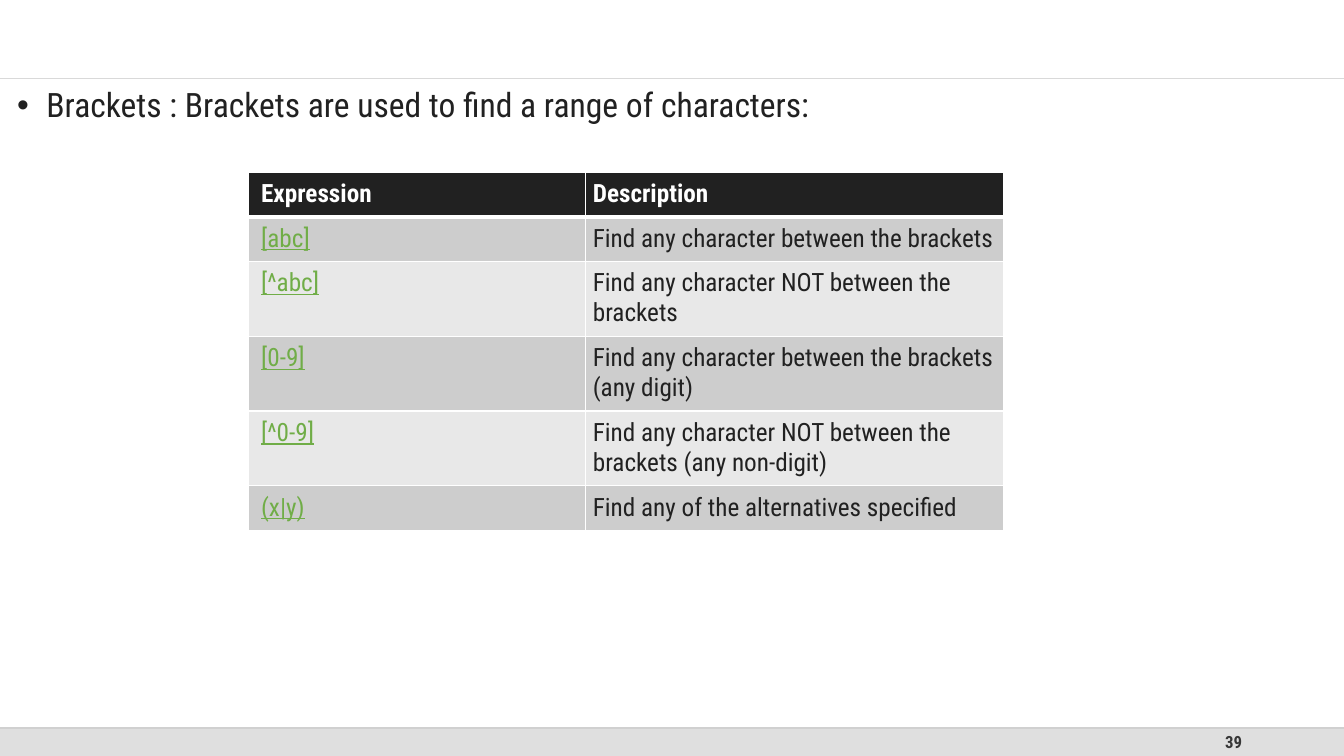
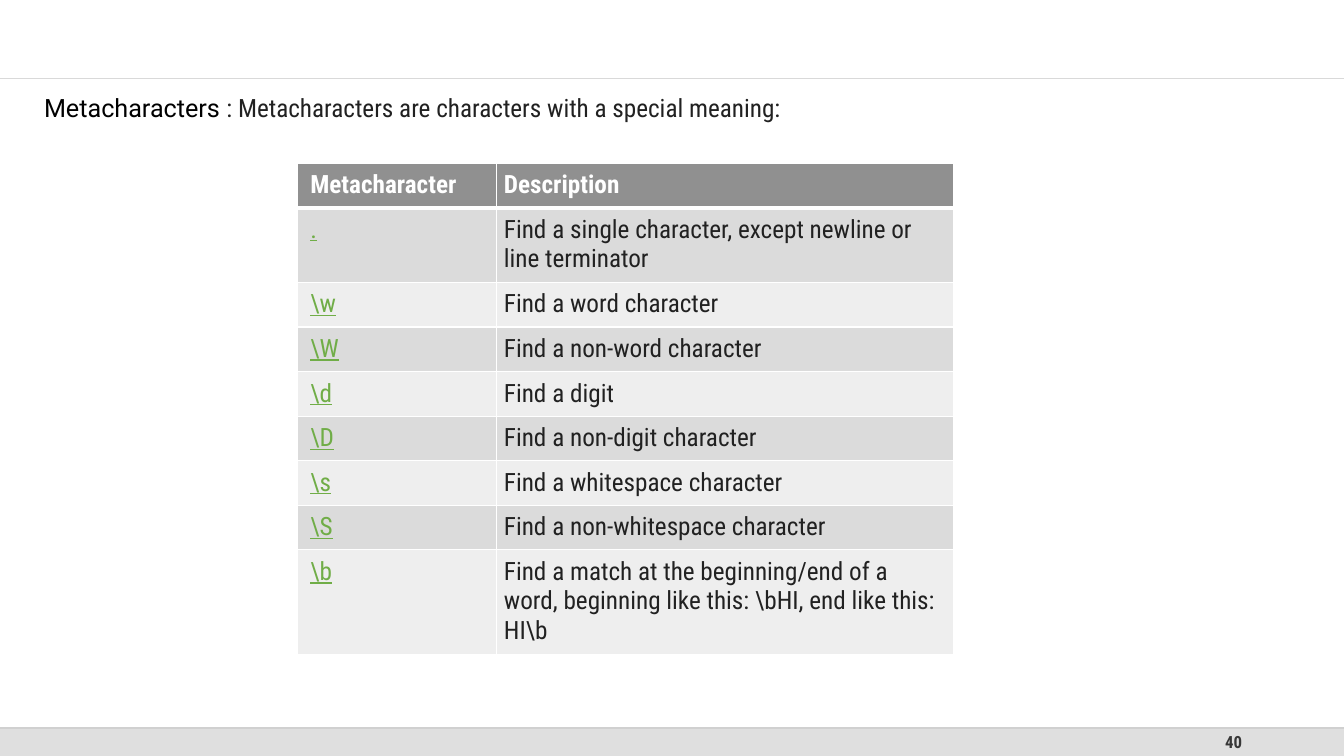
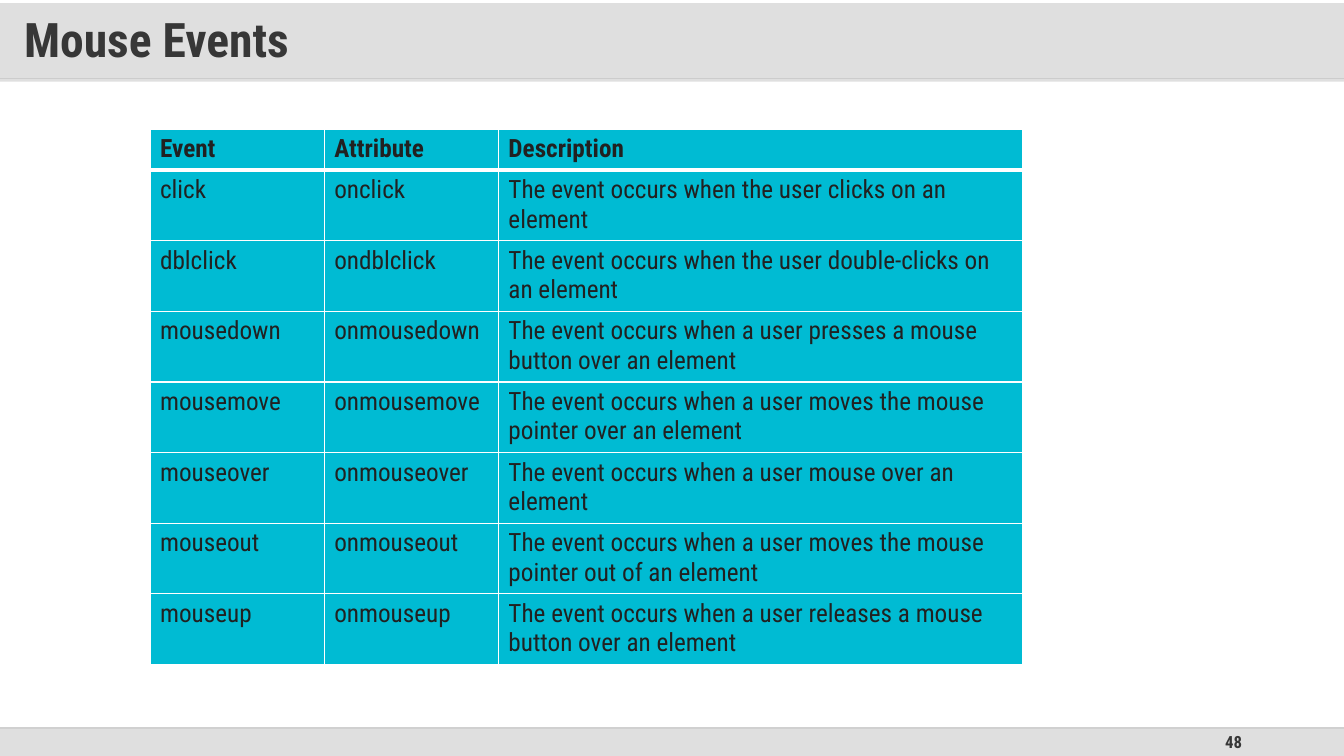
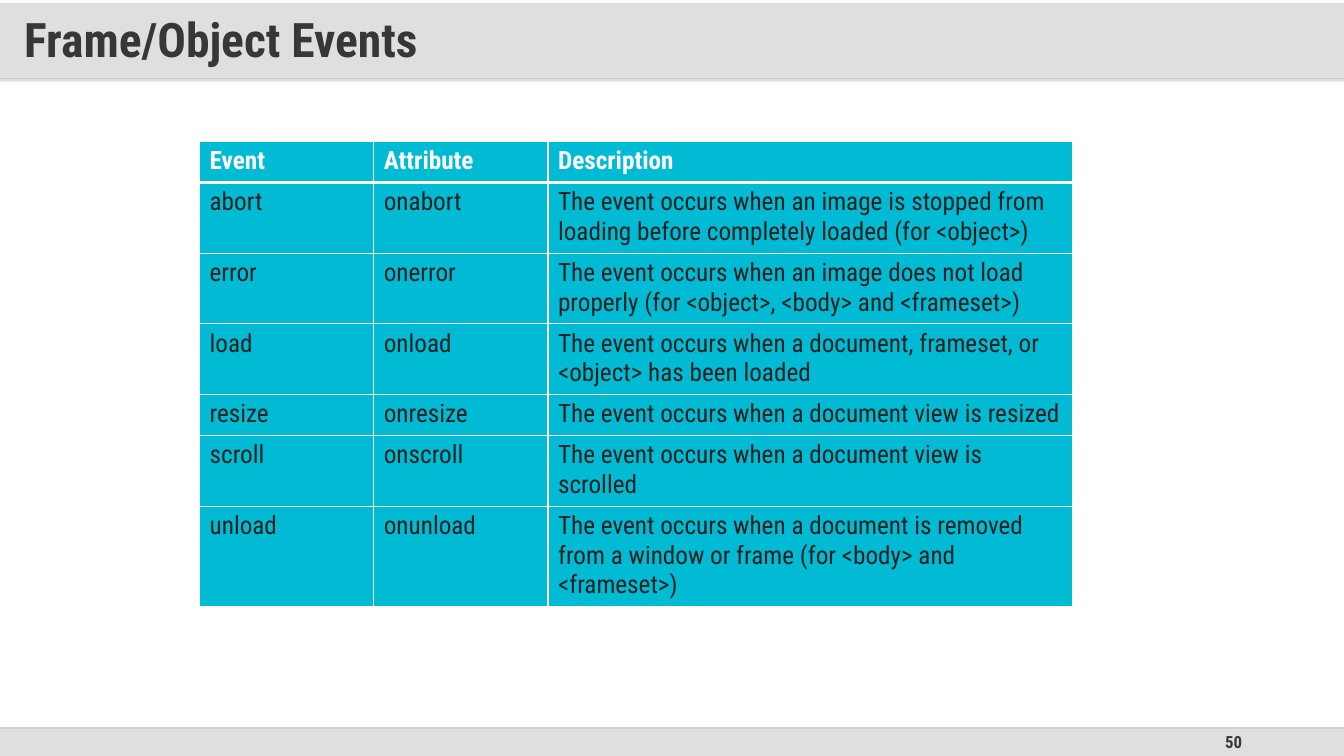
from dataclasses import dataclass

from lxml import etree
from pptx import Presentation
from pptx.dml.color import RGBColor
from pptx.enum.shapes import MSO_CONNECTOR, MSO_SHAPE
from pptx.enum.text import MSO_ANCHOR, PP_ALIGN
from pptx.oxml.ns import qn
from pptx.util import Cm, Pt

RECT = MSO_SHAPE.RECTANGLE
STRAIGHT = MSO_CONNECTOR.STRAIGHT
MIDDLE = MSO_ANCHOR.MIDDLE
RIGHT = PP_ALIGN.RIGHT
JUSTIFY = PP_ALIGN.JUSTIFY

COLORS = {
    "text": "212121",
    "heading": "373737",
    "black": "000000",
    "white": "FFFFFF",
    "link": "70AD47",
    "band": "C0C0C0",
    "footer": "DFDFDF",
    "top_rule": "D9D9D9",
    "footer_rule": "BFBFBF",
    "cyan": "00BBD3",
    "gray": "909090",
    "dark_band": "CDCDCD",
    "light_band": "E8E8E8",
    "pale_dark_band": "DBDBDB",
    "pale_light_band": "EEEEEE",
}
FONT = "Roboto Condensed"
SLIDE_W, SLIDE_H = 33.87, 19.05
RULE_Y = 1.98
FOOTER_Y, FOOTER_H = 18.34, 0.71
ROW_H = 1.04


@dataclass(frozen=True)
class TableStyle:
    header_fill: str
    header_text: str
    bands: tuple[str, str]
    linked: bool = False


@dataclass(frozen=True)
class TableData:
    left: float
    top: float
    widths: tuple[float, ...]
    style: TableStyle
    rows: tuple[tuple[str, ...], ...]


EVENT_WIDTHS = (4.39, 4.39, 13.21)
EVENT_HEADER = ("Event", "Attribute", "Description")

BRACKETS = TableData(
    6.25, 4.34, (8.51, 10.54),
    TableStyle("text", "white", ("dark_band", "light_band"), linked=True),
    (
        ("Expression", "Description"),
        ("[abc]", "Find any character between the brackets"),
        ("[^abc]", "Find any character NOT between the brackets"),
        ("[0-9]", "Find any character between the brackets (any digit)"),
        ("[^0-9]", "Find any character NOT between the brackets (any non-digit)"),
        ("(x|y)", "Find any of the alternatives specified"),
    ),
)
METACHARACTERS = TableData(
    7.49, 4.11, (5.03, 11.51),
    TableStyle("gray", "white", ("pale_dark_band", "pale_light_band"), linked=True),
    (
        ("Metacharacter", "Description"),
        (".", "Find a single character, except newline or line terminator"),
        (r"\w", "Find a word character"),
        (r"\W", "Find a non-word character"),
        (r"\d", "Find a digit"),
        (r"\D", "Find a non-digit character"),
        (r"\s", "Find a whitespace character"),
        (r"\S", "Find a non-whitespace character"),
        (r"\b", r"Find a match at the beginning/end of a word, beginning like this: \bHI, end like this: HI\b"),
    ),
)
MOUSE_EVENTS = TableData(
    3.78, 3.25, EVENT_WIDTHS,
    TableStyle("cyan", "text", ("cyan", "cyan")),
    (
        EVENT_HEADER,
        ("click", "onclick", "The event occurs when the user clicks on an element"),
        ("dblclick", "ondblclick", "The event occurs when the user double-clicks on an element"),
        ("mousedown", "onmousedown", "The event occurs when a user presses a mouse button over an element"),
        ("mousemove", "onmousemove", "The event occurs when a user moves the mouse pointer over an element"),
        ("mouseover", "onmouseover", "The event occurs when a user mouse over an element"),
        ("mouseout", "onmouseout", "The event occurs when a user moves the mouse pointer out of an element"),
        ("mouseup", "onmouseup", "The event occurs when a user releases a mouse button over an element"),
    ),
)
FRAME_EVENTS = TableData(
    5.03, 3.56, EVENT_WIDTHS,
    TableStyle("cyan", "white", ("cyan", "cyan")),
    (
        EVENT_HEADER,
        ("abort", "onabort", "The event occurs when an image is stopped from loading before completely loaded (for <object>)"),
        ("error", "onerror", "The event occurs when an image does not load properly (for <object>, <body> and <frameset>)"),
        ("load", "onload", "The event occurs when a document, frameset, or <object> has been loaded"),
        ("resize", "onresize", "The event occurs when a document view is resized"),
        ("scroll", "onscroll", "The event occurs when a document view is scrolled"),
        ("unload", "onunload", "The event occurs when a document is removed from a window or frame (for <body> and <frameset>)"),
    ),
)


def rgb(name: str) -> RGBColor:
    return RGBColor.from_string(COLORS[name])


def set_font(r, size: float, color: str, bold: bool = False, name: str = FONT) -> None:
    r.font.name = name
    r.font.size = Pt(size)
    r.font.bold = bold
    r.font.color.rgb = rgb(color)


def set_alpha(element, percent: int) -> None:
    color = next(element.iter(qn("a:srgbClr")))
    etree.SubElement(color, qn("a:alpha"), val=str(percent * 1000))


def add_rect(s, top: float, height: float, fill: str):
    sp = s.shapes.add_shape(RECT, 0, Cm(top), Cm(SLIDE_W), Cm(height))
    sp.shadow.inherit = False
    sp.fill.solid()
    sp.fill.fore_color.rgb = rgb(fill)
    sp.line.fill.background()
    return sp


def add_rule(s, y: float, color: str):
    rule = s.shapes.add_connector(STRAIGHT, 0, Cm(y), Cm(SLIDE_W), Cm(y))
    rule.line.color.rgb = rgb(color)
    rule.line.width = Pt(1)
    etree.SubElement(rule.line._get_or_add_ln().getparent(), qn("a:effectLst"))
    return rule


def add_text(s, left: float, top: float, width: float, height: float, text: str):
    tf = s.shapes.add_textbox(Cm(left), Cm(top), Cm(width), Cm(height)).text_frame
    tf.word_wrap = True
    tf.text = text
    return tf


def add_base_slide(prs, number: int):
    s = prs.slides.add_slide(prs.slide_layouts[6])
    add_rect(s, FOOTER_Y, FOOTER_H, "footer")
    tf = add_text(s, 23.93, FOOTER_Y, 7.62, FOOTER_H, str(number))
    tf.vertical_anchor = MIDDLE
    p = tf.paragraphs[0]
    p.alignment = RIGHT
    set_font(p.runs[0], 12, "heading", bold=True)
    add_rule(s, RULE_Y, "top_rule")
    set_alpha(add_rule(s, FOOTER_Y, "footer_rule").line._get_or_add_ln(), 70)
    return s


def add_title(s, text: str) -> None:
    sp = add_rect(s, 0.08, RULE_Y, "band")
    set_alpha(sp.fill._xPr, 50)
    tf = sp.text_frame
    tf.word_wrap = True
    tf.vertical_anchor = MIDDLE
    tf.margin_left = tf.margin_right = Cm(0.61)
    tf.margin_top = tf.margin_bottom = Cm(0.3)
    tf.text = text
    p = tf.paragraphs[0]
    p.alignment = PP_ALIGN.LEFT
    p.line_spacing = 0.9
    set_font(p.runs[0], 34, "heading", bold=True)


def add_bullet_text(s, text: str) -> None:
    p = add_text(s, 0.18, 2.11, 33.15, 15.52, text).paragraphs[0]
    p.alignment = JUSTIFY
    p.line_spacing = 0.9
    p.space_before = Pt(10)
    set_font(p.runs[0], 24, "text")
    pPr = p._p.get_or_add_pPr()
    pPr.set("marL", str(Cm(0.74)))
    pPr.set("indent", str(-Cm(0.74)))
    bullet_color = etree.SubElement(pPr, qn("a:buClr"))
    etree.SubElement(bullet_color, qn("a:srgbClr"), val=COLORS["text"])
    etree.SubElement(pPr, qn("a:buFont"), typeface="Arial")
    etree.SubElement(pPr, qn("a:buChar"), char="•")


def add_term_text(s, term: str, meaning: str) -> None:
    p = add_text(s, 0.86, 2.21, 31.65, 1.02, term).paragraphs[0]
    set_font(p.runs[0], 18, "black", name="Roboto")
    r = p.add_run()
    r.text = meaning
    set_font(r, 18, "text")


def set_borders(cell, top: float, bottom: float) -> None:
    tcPr = cell._tc.get_or_add_tcPr()
    for side, width in (("L", 1), ("R", 1), ("T", top), ("B", bottom)):
        ln = etree.SubElement(tcPr, qn(f"a:ln{side}"), w=str(Pt(width)))
        fill = etree.SubElement(ln, qn("a:solidFill"))
        etree.SubElement(fill, qn("a:srgbClr"), val=COLORS["white"])


def fill_cell(cell, text: str, row: int, col: int, style: TableStyle) -> None:
    header = row == 0
    link = style.linked and not header and col == 0
    set_borders(cell, 3 if row == 1 else 1, 3 if header else 1)
    cell.fill.solid()
    cell.fill.fore_color.rgb = rgb(style.header_fill if header else style.bands[(row - 1) % 2])
    if style.linked:
        cell.margin_left = Cm(0.33 if col == 0 else 0.18)
        cell.margin_right = cell.margin_top = cell.margin_bottom = Cm(0.18)
    cell.text = text
    r = cell.text_frame.paragraphs[0].runs[0]
    color = style.header_text if header else "link" if link else "text"
    set_font(r, 18, color, bold=header)
    if link:
        r.font.underline = True


def add_data_table(s, data: TableData) -> None:
    n_rows, n_cols = len(data.rows), len(data.widths)
    table = s.shapes.add_table(
        n_rows, n_cols, Cm(data.left), Cm(data.top),
        Cm(sum(data.widths)), Cm(ROW_H * n_rows),
    ).table
    table.horz_banding = False
    for column, width in zip(table.columns, data.widths):
        column.width = Cm(width)
    for i, texts in enumerate(data.rows):
        table.rows[i].height = Cm(ROW_H)
        for j, text in enumerate(texts):
            fill_cell(table.cell(i, j), text, i, j, data.style)


def main() -> None:
    prs = Presentation()
    prs.slide_width, prs.slide_height = Cm(SLIDE_W), Cm(SLIDE_H)

    s = add_base_slide(prs, 39)
    add_bullet_text(s, "Brackets : Brackets are used to find a range of characters:")
    add_data_table(s, BRACKETS)

    s = add_base_slide(prs, 40)
    add_data_table(s, METACHARACTERS)
    add_term_text(s, "Metacharacters ", ": Metacharacters are characters with a special meaning:")

    for number, title, data in (
        (48, "Mouse Events", MOUSE_EVENTS),
        (50, "Frame/Object Events", FRAME_EVENTS),
    ):
        s = add_base_slide(prs, number)
        add_title(s, title)
        add_data_table(s, data)

    prs.save("out.pptx")


if __name__ == "__main__":
    main()
